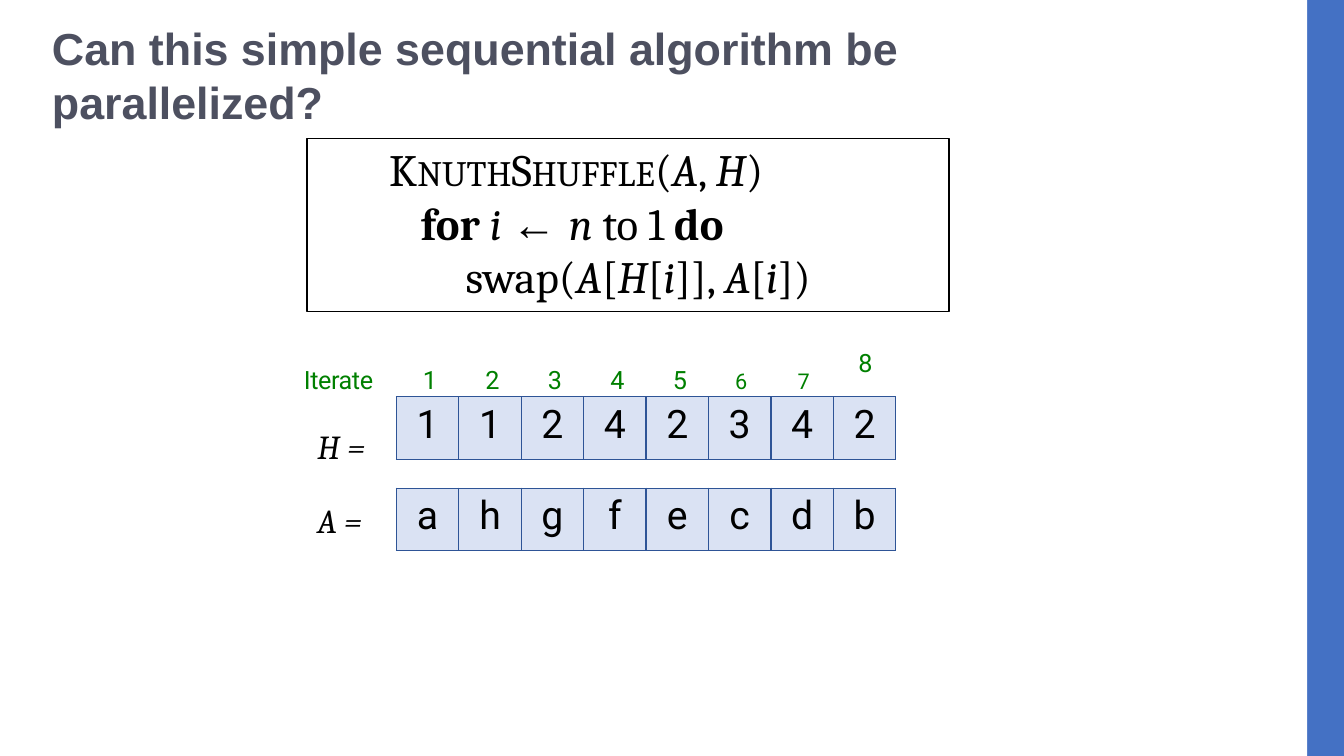
from lxml import etree
from pptx import Presentation
from pptx import util as u
from pptx.dml.color import RGBColor
from pptx.enum import shapes, text
from pptx.oxml.ns import qn

BLUE = RGBColor(0x44, 0x71, 0xC4)
WHITE = RGBColor(0xFF, 0xFF, 0xFF)
GREY = RGBColor(0x4D, 0x50, 0x60)
BLACK = RGBColor(0, 0, 0)
GREEN = RGBColor(0, 0x80, 0)
PALE = RGBColor(0xDA, 0xE2, 0xF3)
EDGE = "2E5496"
LEFT, MID = text.PP_ALIGN.LEFT, text.PP_ALIGN.CENTER
WIDE, HIGH = 33.87, 19.05
CELL = 12.59 / 8


class Deck:
    serif, sans, head = "Cambria", "Roboto", "Arial"
    small = 25.5

    def __init__(self):
        self.prs = Presentation()
        self.prs.slide_width, self.prs.slide_height = u.Cm(WIDE), u.Cm(HIGH)
        self.slide = self.prs.slides.add_slide(self.prs.slide_layouts[6])

    def rect(self, x, y, w, h, fill=None, line=None):
        box = self.slide.shapes.add_shape(
            shapes.MSO_SHAPE.RECTANGLE, *map(u.Cm, (x, y, w, h)))
        box.shadow.inherit = False
        if fill is None:
            box.fill.background()
        else:
            box.fill.solid()
            box.fill.fore_color.rgb = fill
        if line is None:
            box.line.fill.background()
        else:
            box.line.color.rgb = line
            box.line.width = u.Pt(0.96)

    def style(self, para, face, size, color, align=LEFT, bold=False, italic=False):
        font = para.font
        font.name, font.size = face, u.Pt(size)
        font.bold, font.italic = bold, italic
        font.color.rgb = color
        para.alignment = align

    def frame(self, x, y, w, h):
        box = self.slide.shapes.add_textbox(*map(u.Cm, (x, y, w, h)))
        body = box.text_frame
        body.word_wrap = True
        body.margin_left = body.margin_right = body.margin_bottom = 0
        body.margin_top = u.Cm(0.03)
        return body

    def label(self, x, y, w, h, words, *look, **more):
        para = self.frame(x, y, w, h).paragraphs[0]
        para.text = words
        para.space_before = u.Pt(1)
        self.style(para, *look, **more)
        return para

    def code(self, x, y, w, h, lines):
        body = self.frame(x, y, w, h)
        for n, (indent, runs) in enumerate(lines):
            para = body.add_paragraph() if n else body.paragraphs[0]
            self.style(para, self.serif, 32, BLACK, MID)
            para._p.get_or_add_pPr().set("marL", str(u.Cm(indent)))
            for words, kind in runs:
                run = para.add_run()
                run.text = words
                if kind == "b":
                    run.font.bold = True
                elif kind == "i":
                    run.font.italic = True
                elif kind == "s":
                    run.font.size = u.Pt(self.small)
                elif kind == "a":
                    run.font.name = self.head

    def steps(self, x, y, w, h, first, parts):
        para = self.label(x, y, w, h, "", self.sans, 18, GREEN)
        for words, size, gap in parts:
            run = para.add_run()
            run.text = words
            run.font.size = u.Pt(size)
            run._r.get_or_add_rPr().set("spc", str(gap))
        tabs = etree.Element(qn("a:tabLst"))
        for n in range(sum(words.count("\t") for words, *_ in parts)):
            etree.SubElement(tabs, qn("a:tab"), algn="l",
                             pos=str(u.Cm(first + n * CELL)))
        para._p.pPr.find(qn("a:defRPr")).addprevious(tabs)

    def row(self, x, y, items):
        grid = self.slide.shapes.add_table(
            1, len(items), *map(u.Cm, (x, y, CELL * len(items), CELL))).table
        for col in grid.columns:
            col.width = u.Cm(CELL)
        for cell, item in zip(grid.rows[0].cells, items):
            cell.margin_left = cell.margin_right = cell.margin_bottom = 0
            cell.margin_top = u.Cm(0.13)
            para = cell.text_frame.paragraphs[0]
            para.text = item
            para.space_before = u.Pt(3.7)
            self.style(para, self.sans, 28, BLACK, MID)
            self.edge(cell)
            cell.fill.solid()
            cell.fill.fore_color.rgb = PALE

    def edge(self, cell):
        props = cell._tc.get_or_add_tcPr()
        for side in "LRTB":
            line = etree.SubElement(props, qn("a:ln" + side), w=str(u.Pt(1)))
            fill = etree.SubElement(line, qn("a:solidFill"))
            etree.SubElement(fill, qn("a:srgbClr"), val=EDGE)


deck = Deck()
deck.rect(0, 0, WIDE, HIGH, fill=BLUE)
deck.rect(0, 0, 32.94, HIGH, fill=WHITE)
deck.label(1.31, 0.49, 28.49, 1.42,
           "Can this simple sequential algorithm be parallelized?",
           deck.head, 32, GREY, bold=True)

deck.rect(7.74, 3.49, 16.18, 4.36, line=BLACK)
deck.code(7.64, 3.54, 13.28, 4.2, [
    (0.48, [("K", ""), ("NUTH", "s"), ("S", ""), ("HUFFLE", "s"), ("(", ""),
            ("A", "i"), (", ", ""), ("H", "i"), (")", "")]),
    (0.28, [("for ", "b"), ("i ", "i"), ("← ", "a"), ("n ", "i"),
            ("to 1 ", ""), ("do", "b")]),
    (3.61, [("swap(", ""), ("A", "i"), ("[", ""), ("H", "i"), ("[", ""),
            ("i", "i"), ("]], ", ""), ("A", "i"), ("[", ""), ("i", "i"),
            ("])", "")]),
])

deck.steps(7.66, 9.14, 13.25, 0.8, 3, [
    ("Iterate\t", 18, -30), ("1\t2\t3\t4\t5\t", 18, -60), ("6\t7", 15.5, -80)])
deck.label(21.63, 8.72, 0.5, 0.84, "8", deck.sans, 18, GREEN)

for name, y, top, items in (("H", 10.7, 10, "11242342"),
                            ("A", 12.57, 12.3, "ahgfecdb")):
    deck.label(8, y, 1.5, 1.09, name + " =", deck.serif, 24, BLACK, italic=True)
    deck.row(9.99, top, items)

deck.prs.save("out.pptx")
